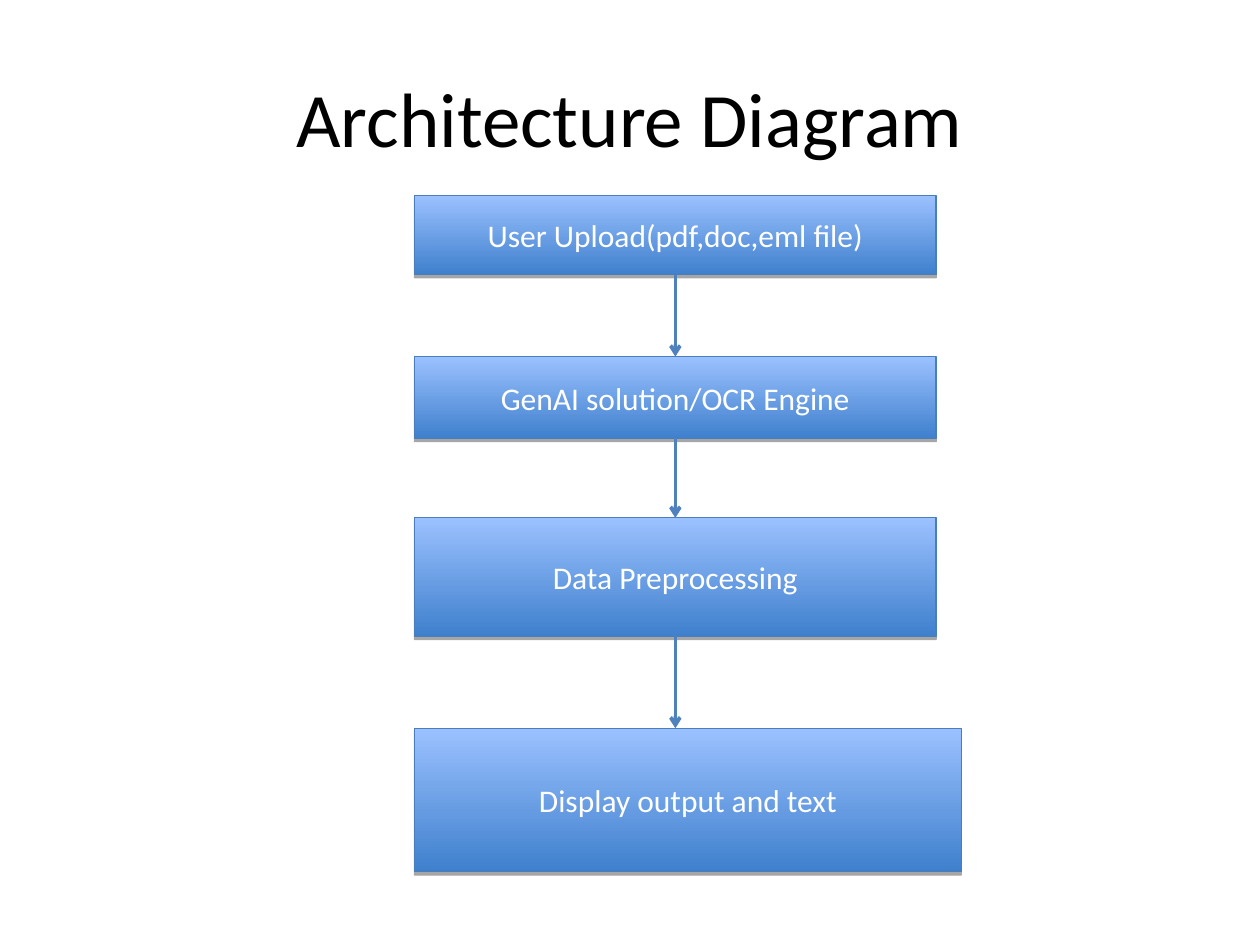
from dataclasses import dataclass

from lxml import etree
from pptx import Presentation
from pptx import util as u
from pptx.dml.color import RGBColor
from pptx.enum import shapes, text
from pptx.oxml import ns


@dataclass(frozen=True)
class Theme:
    font: str = "Calibri"
    title_size: int = 44
    body_size: int = 18
    ink: str = "000000"
    label: str = "FFFFFF"
    fill_bottom: str = "3F80CD"
    fill_top: str = "9BC1FF"
    outline: str = "4A7EBB"
    arrow: str = "4F81BD"
    shadow: str = "000000"


CELL = u.Inches(0.1)
COLUMNS, ROWS = 100, 75
LEFT, WIDTH = 32.9, 41.4
STEPS = [
    ("User Upload(pdf,doc,eml file)", 15.5, WIDTH, 6.3),
    ("GenAI solution/OCR Engine", 28.3, WIDTH, 6.5),
    ("Data Preprocessing", 41.1, WIDTH, 9.4),
    ("Display output and text", 57.8, 43.4, 11.4),
]


def cells(*counts):
    return [round(count * CELL) for count in counts]


def add_child(parent, tag, **attributes):
    return etree.SubElement(parent, ns.qn(tag), attributes)


def write(shape, words, *, font, size, color):
    frame = shape.text_frame
    frame.word_wrap = True
    frame.vertical_anchor = text.MSO_ANCHOR.MIDDLE
    para = frame.paragraphs[0]
    para.alignment = text.PP_ALIGN.CENTER
    span = para.add_run()
    span.text = words
    span.font.name = font
    span.font.size = u.Pt(size)
    span.font.color.rgb = RGBColor.from_string(color)


class FlowPage:
    def __init__(self, deck, theme):
        self.theme = theme
        self.page = deck.slides.add_slide(deck.slide_layouts[6])

    def title(self, words, left, top, width, height):
        box = self.page.shapes.add_textbox(*cells(left, top, width, height))
        write(box, words, font=self.theme.font, size=self.theme.title_size,
              color=self.theme.ink)

    def step(self, words, left, top, width, height):
        theme = self.theme
        box = self.page.shapes.add_shape(
            shapes.MSO_SHAPE.RECTANGLE, *cells(left, top, width, height))
        box.fill.gradient()
        box.fill.gradient_angle = 90
        for stop, color in zip(box.fill.gradient_stops,
                               (theme.fill_bottom, theme.fill_top)):
            stop.color.rgb = RGBColor.from_string(color)
        box.line.color.rgb = RGBColor.from_string(theme.outline)
        box.line.width = u.Pt(0.75)
        self.drop_shadow(box)
        write(box, words, font=theme.font, size=theme.body_size, color=theme.label)
        return box

    def drop_shadow(self, box):
        box.shadow.inherit = False
        effects = box.element.spPr.find(ns.qn("a:effectLst"))
        shadow = add_child(effects, "a:outerShdw", blurRad="0",
                           dist=str(u.Pt(1.8)), dir="5400000", rotWithShape="0")
        color = add_child(shadow, "a:srgbClr", val=self.theme.shadow)
        add_child(color, "a:alpha", val="35000")

    def arrow(self, upper, lower):
        center = upper.left + upper.width // 2
        link = self.page.shapes.add_connector(
            shapes.MSO_CONNECTOR.STRAIGHT,
            center, upper.top + upper.height, center, lower.top)
        link.begin_connect(upper, 2)
        if lower.width == upper.width:
            link.end_connect(lower, 0)
        link.line.color.rgb = RGBColor.from_string(self.theme.arrow)
        link.line.width = u.Pt(2)
        add_child(link.line._get_or_add_ln(), "a:tailEnd", type="arrow")
        add_child(link._element.spPr, "a:effectLst")


def main():
    deck = Presentation()
    deck.slide_width, deck.slide_height = cells(COLUMNS, ROWS)
    flow = FlowPage(deck, Theme())
    flow.title("Architecture Diagram", 5, 3, 90, 12.5)
    boxes = [flow.step(words, LEFT, top, width, height)
             for words, top, width, height in STEPS]
    for upper, lower in zip(boxes, boxes[1:]):
        flow.arrow(upper, lower)
    deck.save("out.pptx")


if __name__ == "__main__":
    main()
